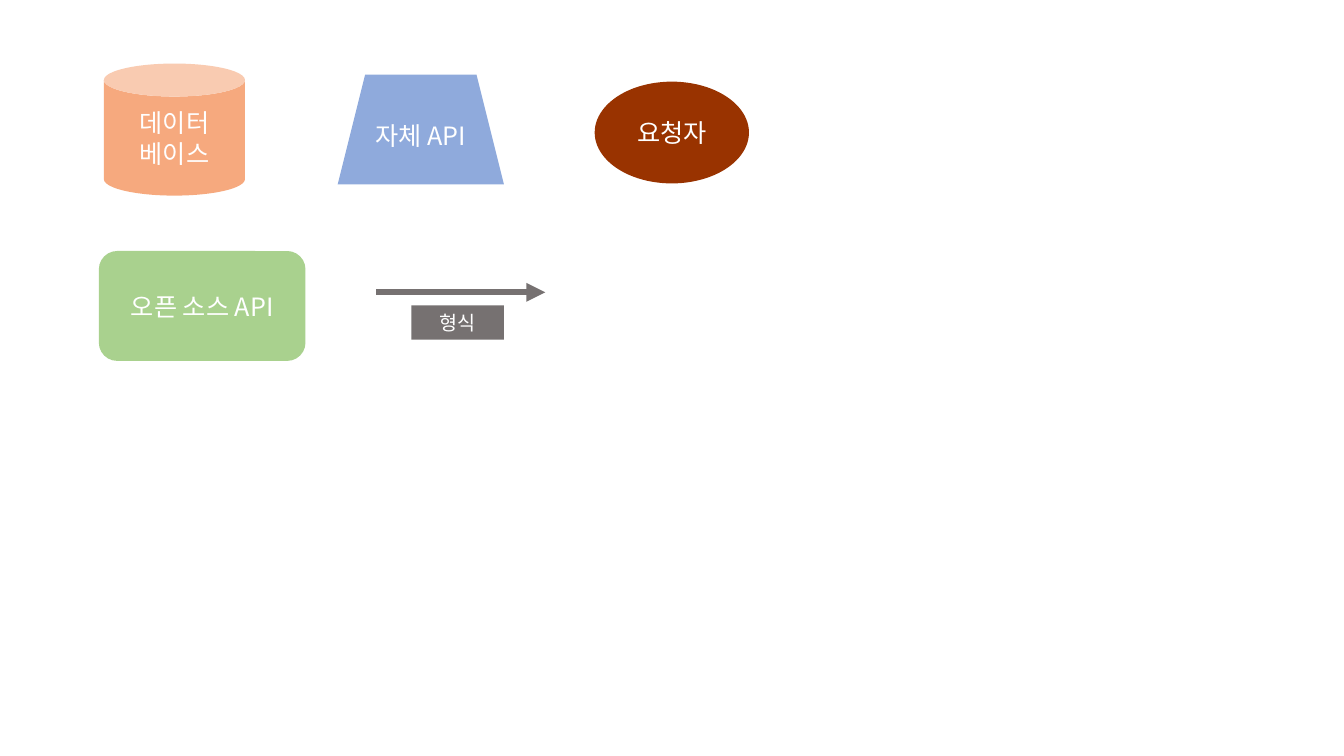
"""Build a slide with the legend of symbols for an API data-flow diagram."""
from lxml import etree
from pptx import Presentation
from pptx.dml.color import RGBColor
from pptx.enum.shapes import MSO_CONNECTOR, MSO_SHAPE
from pptx.enum.text import MSO_ANCHOR, PP_ALIGN
from pptx.oxml.ns import qn
from pptx.util import Pt

STRAIGHT = MSO_CONNECTOR.STRAIGHT
CENTER, MIDDLE = PP_ALIGN.CENTER, MSO_ANCHOR.MIDDLE
ROUNDED, TRAPEZOID = MSO_SHAPE.ROUNDED_RECTANGLE, MSO_SHAPE.TRAPEZOID
CAN, RECTANGLE, OVAL = MSO_SHAPE.CAN, MSO_SHAPE.RECTANGLE, MSO_SHAPE.OVAL

FONT = "Noto Sans CJK KR"
COLORS = {
    "open_source": "A9D18E",
    "own_api": "8FAADC",
    "database": "F6A97E",
    "flow": "767171",
    "requester": "993300",
    "text": "FFFFFF",
}

SYMBOLS = [
    ("오픈 소스 API", ROUNDED, "open_source", (70.6, 179.3, 147.6, 78.5), 18),
    ("자체 API", TRAPEZOID, "own_api", (241.2, 53.3, 118.8, 78.5), 18),
    ("데이터 베이스", CAN, "database", (74.2, 45.4, 100.8, 94.3), 18),
    ("형식", RECTANGLE, "flow", (293.8, 218.2, 66.2, 24.5), 14),
    ("요청자", OVAL, "requester", (424.8, 58.3, 110.2, 72.7), 18),
]
FLOW_START, FLOW_END, FLOW_Y, FLOW_WIDTH = 268.6, 389.5, 208.8, 4.5


def color(key):
    return RGBColor.from_string(COLORS[key])


def write(frame, text, size=18, ink="text", align=CENTER, anchor=MIDDLE):
    frame.word_wrap = True
    frame.vertical_anchor = anchor
    paragraph = frame.paragraphs[0]
    paragraph.alignment = align
    run = paragraph.add_run()
    run.text = text
    run.font.size = Pt(size)
    run.font.color.rgb = color(ink)
    run.font.name = FONT
    east_asian = etree.SubElement(run.font._element, qn("a:ea"))
    east_asian.set("typeface", FONT)


def add_symbol(slide, label, kind, fill, box, size):
    symbol = slide.shapes.add_shape(kind, *map(Pt, box))
    symbol.shadow.inherit = False
    symbol.fill.solid()
    symbol.fill.fore_color.rgb = color(fill)
    symbol.line.fill.background()
    write(symbol.text_frame, label, size=size)


def add_flow_arrow(slide):
    ends = (FLOW_START, FLOW_Y, FLOW_END, FLOW_Y)
    arrow = slide.shapes.add_connector(STRAIGHT, *map(Pt, ends))
    arrow.line.color.rgb = color("flow")
    arrow.line.width = Pt(FLOW_WIDTH)
    properties = arrow._element.spPr
    head = etree.SubElement(properties.find(qn("a:ln")), qn("a:tailEnd"))
    head.set("type", "triangle")
    etree.SubElement(properties, qn("a:effectLst"))


deck = Presentation()
deck.slide_width, deck.slide_height = Pt(960), Pt(540)
legend = deck.slides.add_slide(deck.slide_layouts[6])
add_flow_arrow(legend)
for entry in SYMBOLS:
    add_symbol(legend, *entry)
deck.save("out.pptx")
